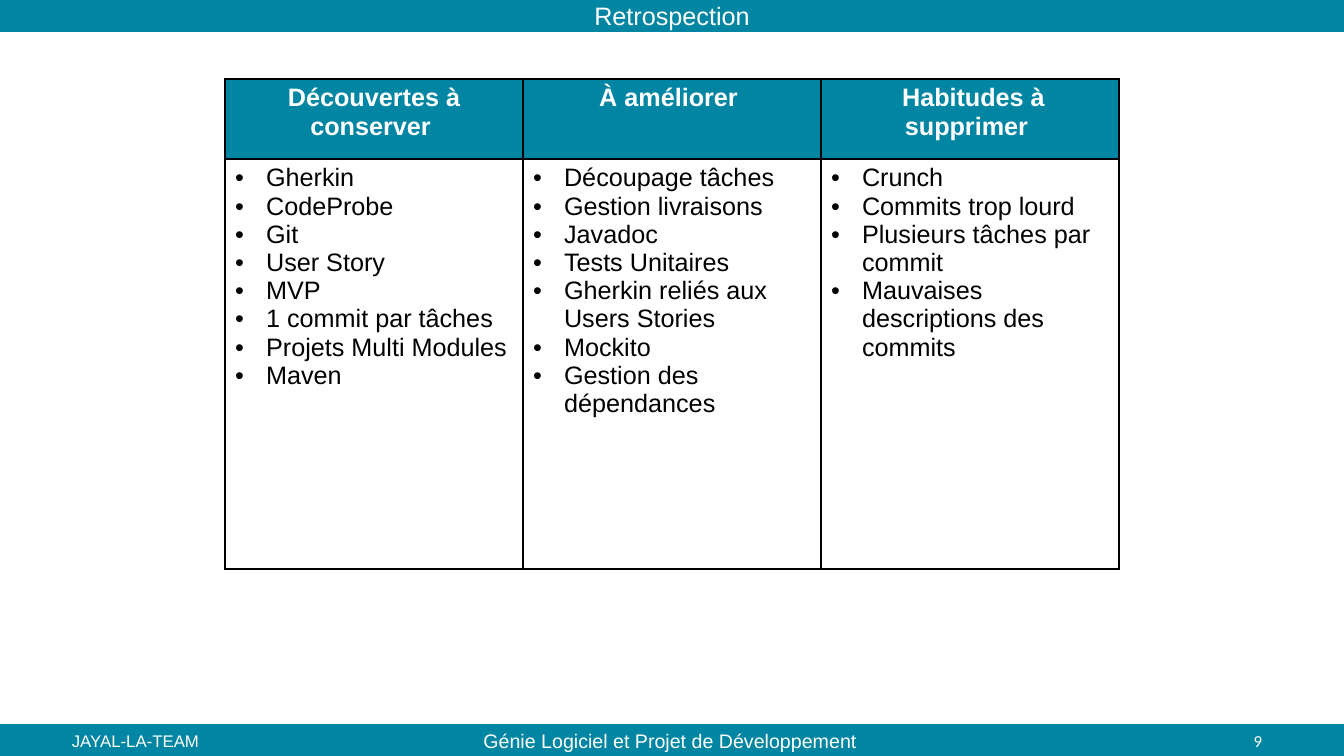
"""Build the retrospective slide with its three-column table."""
from dataclasses import dataclass

import lxml.etree
import pptx
import pptx.dml.color
import pptx.enum.shapes
import pptx.enum.text
import pptx.oxml.ns
import pptx.util

EMU_PER_PX = 914400 / 100.8
COLOURS = {"teal": "0085A3", "white": "FFFFFF", "black": "000000"}
ALIGN = pptx.enum.text.PP_ALIGN
MIDDLE = pptx.enum.text.MSO_ANCHOR.MIDDLE

SLIDE_WIDTH, SLIDE_HEIGHT = 1344, 756
BAND_HEIGHT = 31
TABLE_LEFT, TABLE_TOP = 225, 79
COLUMN_WIDTH = 298
ROW_HEIGHTS = (80, 410)
BULLET_INDENT = 31


@dataclass(frozen=True)
class Band:
    top: int
    title: str


@dataclass(frozen=True)
class Label:
    left: int
    width: int
    text: str
    size: int
    align: pptx.enum.text.PP_ALIGN
    font: str = "Arial"


@dataclass(frozen=True)
class Column:
    heading: str
    items: tuple[str, ...]


BANDS = (Band(SLIDE_HEIGHT - BAND_HEIGHT, ""), Band(0, "Retrospection"))
LABELS = (
    Label(446, 454, "Génie Logiciel et Projet de Développement ", 14, ALIGN.CENTER),
    Label(970, 302, "9", 12, ALIGN.RIGHT, "Calibri"),
    Label(62, 302, "JAYAL-LA-TEAM", 12, ALIGN.LEFT),
)
COLUMNS = (
    Column("Découvertes à conserver ", (
        "Gherkin", "CodeProbe", "Git", "User Story", "MVP",
        "1 commit par tâches", "Projets Multi Modules", "Maven")),
    Column("À améliorer ", (
        "Découpage tâches", "Gestion livraisons", "Javadoc", "Tests Unitaires",
        "Gherkin reliés aux Users Stories", "Mockito", "Gestion des dépendances")),
    Column(" Habitudes à supprimer ", (
        "Crunch", "Commits trop lourd", "Plusieurs tâches par commit",
        "Mauvaises descriptions des commits")),
)


def px(length: int) -> pptx.util.Emu:
    return pptx.util.Emu(round(length * EMU_PER_PX))


def colour(name: str) -> pptx.dml.color.RGBColor:
    return pptx.dml.color.RGBColor.from_string(COLOURS[name])


def add_span(para, text: str, size: int, ink: str, font: str = "Arial", bold: bool = False) -> None:
    span = para.add_run()
    span.text = text
    span.font.size = pptx.util.Pt(size)
    span.font.name = font
    span.font.bold = bold
    span.font.color.rgb = colour(ink)


def add_child(parent, tag: str, **attributes: str):
    return lxml.etree.SubElement(parent, pptx.oxml.ns.qn(tag), attributes)


def draw_band(page, band: Band) -> None:
    box = page.shapes.add_shape(
        pptx.enum.shapes.MSO_SHAPE.RECTANGLE,
        px(0), px(band.top), px(SLIDE_WIDTH), px(BAND_HEIGHT))
    box.shadow.inherit = False
    box.fill.solid()
    box.fill.fore_color.rgb = colour("teal")
    box.line.color.rgb = colour("teal")
    box.line.width = pptx.util.Pt(1)
    if band.title:
        box.text_frame.vertical_anchor = MIDDLE
        para = box.text_frame.paragraphs[0]
        para.alignment = ALIGN.CENTER
        add_span(para, band.title, 18, "white")


def draw_label(page, label: Label) -> None:
    box = page.shapes.add_textbox(px(label.left), px(721), px(label.width), px(40))
    box.text_frame.word_wrap = True
    box.text_frame.vertical_anchor = MIDDLE
    para = box.text_frame.paragraphs[0]
    para.alignment = label.align
    add_span(para, label.text, label.size, "white", label.font)


def style_cell(cell, fill: str) -> None:
    cell.fill.solid()
    cell.fill.fore_color.rgb = colour(fill)
    properties = cell._tc.get_or_add_tcPr()
    for index, side in enumerate(("a:lnL", "a:lnR", "a:lnT", "a:lnB")):
        border = add_child(properties, side, w=str(pptx.util.Pt(1)))
        add_child(add_child(border, "a:solidFill"), "a:srgbClr", val=COLOURS["black"])
        properties.insert(index, border)


def set_bullet(para) -> None:
    properties = para._p.get_or_add_pPr()
    properties.set("marL", str(px(BULLET_INDENT)))
    properties.set("indent", str(-px(BULLET_INDENT)))
    add_child(properties, "a:buFont", typeface="Arial")
    add_child(properties, "a:buChar", char="•")


def draw_table(page, columns: tuple[Column, ...]) -> None:
    table = page.shapes.add_table(
        len(ROW_HEIGHTS), len(columns), px(TABLE_LEFT), px(TABLE_TOP),
        px(COLUMN_WIDTH * len(columns)), px(sum(ROW_HEIGHTS))).table
    table.first_row = False
    table.horz_banding = False
    for row, height in zip(table.rows, ROW_HEIGHTS):
        row.height = px(height)
    for index, column in enumerate(columns):
        table.columns[index].width = px(COLUMN_WIDTH)
        head, body = table.cell(0, index), table.cell(1, index)
        style_cell(head, "teal")
        style_cell(body, "white")
        para = head.text_frame.paragraphs[0]
        para.alignment = ALIGN.CENTER
        add_span(para, column.heading, 18, "white", bold=True)
        for number, item in enumerate(column.items):
            frame = body.text_frame
            para = frame.add_paragraph() if number else frame.paragraphs[0]
            set_bullet(para)
            add_span(para, item, 18, "black")


def main() -> None:
    deck = pptx.Presentation()
    deck.slide_width, deck.slide_height = px(SLIDE_WIDTH), px(SLIDE_HEIGHT)
    page = deck.slides.add_slide(deck.slide_layouts[6])
    for band in BANDS:
        draw_band(page, band)
    for label in LABELS:
        draw_label(page, label)
    draw_table(page, COLUMNS)
    deck.save("out.pptx")


if __name__ == "__main__":
    main()
